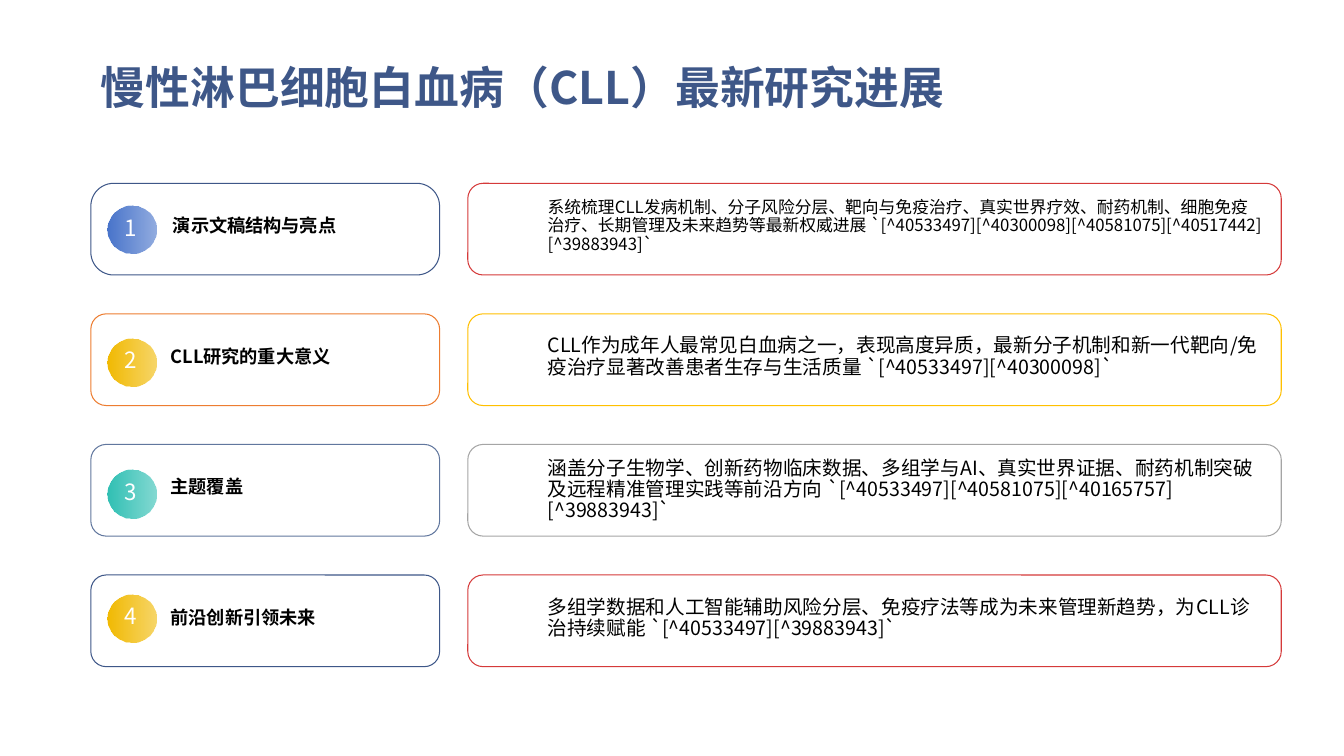
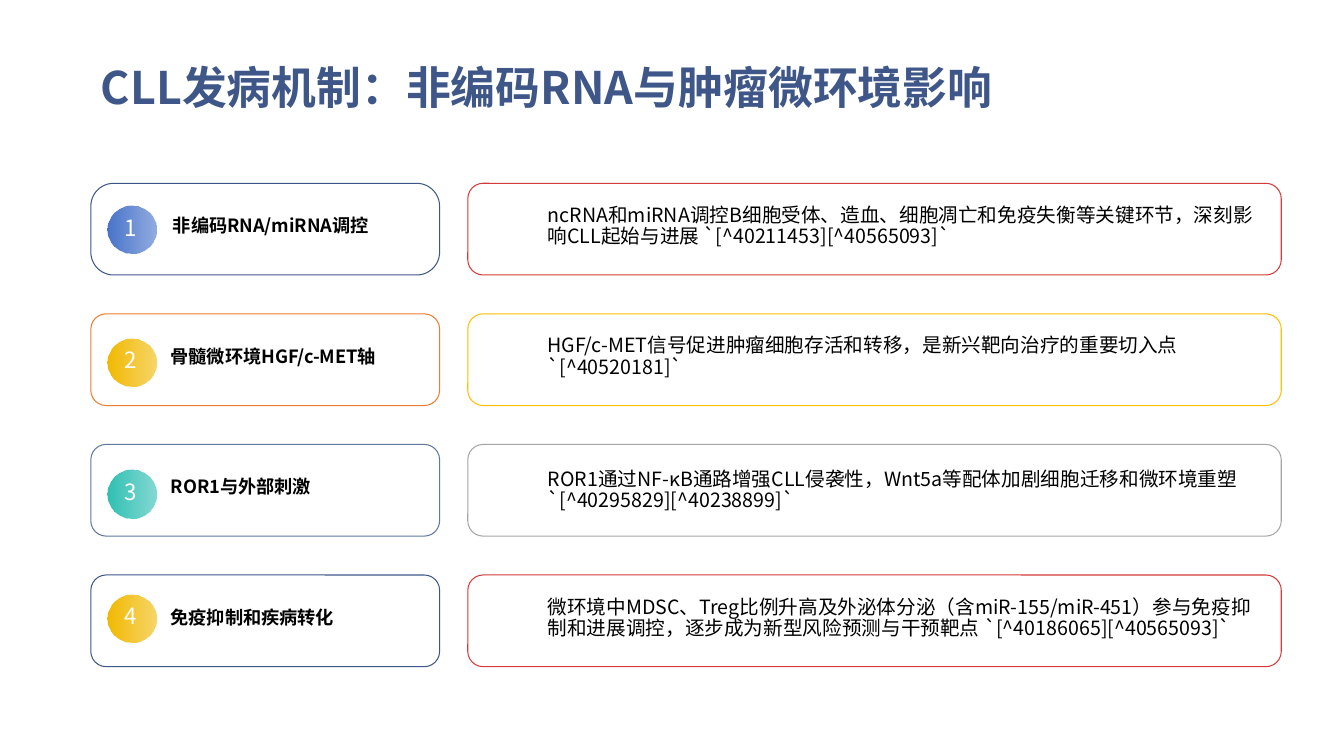
from dataclasses import dataclass

from lxml.etree import SubElement
from pptx import Presentation
from pptx.dml.color import RGBColor
from pptx.enum.shapes import MSO_SHAPE
from pptx.enum.text import MSO_ANCHOR, MSO_AUTO_SIZE, PP_ALIGN
from pptx.oxml.ns import qn
from pptx.util import Cm, Pt

ROUND, OVAL = MSO_SHAPE.ROUNDED_RECTANGLE, MSO_SHAPE.OVAL
MIDDLE, BOTTOM = MSO_ANCHOR.MIDDLE, MSO_ANCHOR.BOTTOM
LEFT, CENTER = PP_ALIGN.LEFT, PP_ALIGN.CENTER
FIXED = MSO_AUTO_SIZE.NONE
TITLE_ONLY = 5


@dataclass(frozen=True)
class Theme:
    """Fonts, type sizes and colours of the deck."""
    font: str = "Noto Sans CJK SC"
    title: int = 32
    head: int = 13
    body: int = 14
    small: int = 12
    badge: int = 16
    edge: float = 0.75
    navy: str = "3E5788"
    slate: str = "61779E"
    red: str = "D53A3A"
    orange: str = "ED7D31"
    yellow: str = "FFC000"
    grey: str = "A5A5A5"
    blue: str = "4874CB"
    gold: str = "F2BA02"
    teal: str = "30C0B4"
    black: str = "000000"
    white: str = "FFFFFF"
    fade: str = "59000"


@dataclass(frozen=True)
class Row:
    """Look of one row: edges, badge colour and drop, corner, top inset."""
    left: str
    right: str
    badge: str
    drop: float
    curve: float = 0.167
    inset: float = 0


@dataclass(frozen=True)
class Box:
    """A rectangle in centimetres."""
    x: float
    y: float
    w: float
    h: float

    def place(self):
        """Return the four sides as lengths."""
        return Cm(self.x), Cm(self.y), Cm(self.w), Cm(self.h)


T = Theme()
TITLE = Box(2.29, 1.02, 30, 2)
LIST = Box(2.29, 4.62, 30, 12.18)
ROW_H = 2.31
HEAD_W = 8.79
BODY_W = 20.5
BADGE = 1.22
PAD = (1.9, 0, 0.3, 0.13)
TITLE_PAD = (0.25, 0.13, 0.25, 0.13)
BADGE_PAD = (0, 0, 0.08, 0.04)
ROWS = (
    Row(T.navy, T.red, T.blue, 0.56, curve=0.249),
    Row(T.orange, T.yellow, T.gold, 0.61),
    Row(T.slate, T.grey, T.teal, 0.64, inset=0.13),
    Row(T.navy, T.red, T.gold, 0.48),
)
SLIDES = (
    ("慢性淋巴细胞白血病（CLL）最新研究进展", (
        ("演示文稿结构与亮点",
         "系统梳理CLL发病机制、分子风险分层、靶向与免疫治疗、真实世界疗效、耐药机制、"
         "细胞免疫治疗、长期管理及未来趋势等最新权威进展 "
         "`[^40533497][^40300098][^40581075][^40517442][^39883943]`", T.small),
        ("CLL研究的重大意义",
         "CLL作为成年人最常见白血病之一，表现高度异质，最新分子机制和新一代靶向/"
         "免疫治疗显著改善患者生存与生活质量 `[^40533497][^40300098]`", T.body),
        ("主题覆盖",
         "涵盖分子生物学、创新药物临床数据、多组学与AI、真实世界证据、耐药机制突破及"
         "远程精准管理实践等前沿方向 "
         "`[^40533497][^40581075][^40165757][^39883943]`", T.body),
        ("前沿创新引领未来",
         "多组学数据和人工智能辅助风险分层、免疫疗法等成为未来管理新趋势，"
         "为CLL诊治持续赋能 `[^40533497][^39883943]`", T.body),
    )),
    ("CLL发病机制：非编码RNA与肿瘤微环境影响", (
        ("非编码RNA/miRNA调控",
         "ncRNA和miRNA调控B细胞受体、造血、细胞凋亡和免疫失衡等关键环节，"
         "深刻影响CLL起始与进展 `[^40211453][^40565093]`", T.body),
        ("骨髓微环境HGF/c-MET轴",
         "HGF/c-MET信号促进肿瘤细胞存活和转移，是新兴靶向治疗的重要切入点 "
         "`[^40520181]`", T.body),
        ("ROR1与外部刺激",
         "ROR1通过NF-κB通路增强CLL侵袭性，Wnt5a等配体加剧细胞迁移和微环境重塑 "
         "`[^40295829][^40238899]`", T.body),
        ("免疫抑制和疾病转化",
         "微环境中MDSC、Treg比例升高及外泌体分泌（含miR-155/miR-451）参与免疫抑制"
         "和进展调控，逐步成为新型风险预测与干预靶点 "
         "`[^40186065][^40565093]`", T.body),
    )),
)


def write(shape, text, size, color=T.black, bold=False, align=LEFT,
          anchor=MIDDLE, pad=PAD, wrap=True):
    """Fill a shape with one formatted paragraph."""
    frame = shape.text_frame
    frame.word_wrap, frame.auto_size = wrap, FIXED
    frame.vertical_anchor = anchor
    (frame.margin_left, frame.margin_top,
     frame.margin_right, frame.margin_bottom) = map(Cm, pad)
    para = frame.paragraphs[0]
    para.alignment, para.line_spacing = align, 0.9
    para.space_before = Pt(10)
    run = para.add_run()
    run.text = text
    font = run.font
    font.size, font.bold, font.name = Pt(size), bold, T.font
    font.color.rgb = RGBColor.from_string(color)
    SubElement(run._r.get_or_add_rPr(), qn("a:ea"), typeface=T.font)


def panel(slide, box, edge, curve):
    """Draw an outlined rounded box."""
    shape = slide.shapes.add_shape(ROUND, *box.place())
    shape.shadow.inherit = False
    shape.adjustments[0] = curve
    shape.fill.background()
    shape.line.color.rgb = RGBColor.from_string(edge)
    shape.line.width = Pt(T.edge)
    return shape


def badge(slide, box, label, color):
    """Draw a numbered disc that fades to the right."""
    disc = slide.shapes.add_shape(OVAL, *box.place())
    disc.shadow.inherit = False
    disc.line.fill.background()
    disc.fill.gradient()
    disc.fill.gradient_angle = 0
    for stop in disc.fill.gradient_stops:
        stop.color.rgb = RGBColor.from_string(color)
    last = disc._element.spPr.findall(".//" + qn("a:srgbClr"))[-1]
    SubElement(last, qn("a:alpha"), val=T.fade)
    write(disc, label, T.badge, color=T.white, align=CENTER,
          pad=BADGE_PAD, wrap=False)


def entry(slide, box, number, row, item):
    """Draw one row: heading box, detail box and badge."""
    head, body, size = item
    left = Box(box.x, box.y, HEAD_W, box.h)
    right = Box(box.x + box.w - BODY_W, box.y, BODY_W, box.h)
    write(panel(slide, left, row.left, row.curve), head, T.head, bold=True)
    pad = (PAD[0], row.inset, *PAD[2:])
    write(panel(slide, right, row.right, 0.167), body, size, pad=pad)
    spot = Box(box.x + 0.43, box.y + row.drop, BADGE, BADGE)
    badge(slide, spot, str(number), row.badge)


def page(deck, title, items):
    """Add a slide with a title and evenly spaced rows."""
    slide = deck.slides.add_slide(deck.slide_layouts[TITLE_ONLY])
    head = slide.shapes.title
    head.left, head.top, head.width, head.height = TITLE.place()
    write(head, title, T.title, color=T.navy, bold=True,
          anchor=BOTTOM, pad=TITLE_PAD)
    pitch = (LIST.h - ROW_H) / (len(items) - 1)
    for index, (row, item) in enumerate(zip(ROWS, items)):
        box = Box(LIST.x, LIST.y + index * pitch, LIST.w, ROW_H)
        entry(slide, box, index + 1, row, item)


def main():
    """Build and save the deck."""
    deck = Presentation()
    deck.slide_width, deck.slide_height = Cm(33.87), Cm(19.05)
    for title, items in SLIDES:
        page(deck, title, items)
    deck.save("out.pptx")


if __name__ == "__main__":
    main()
